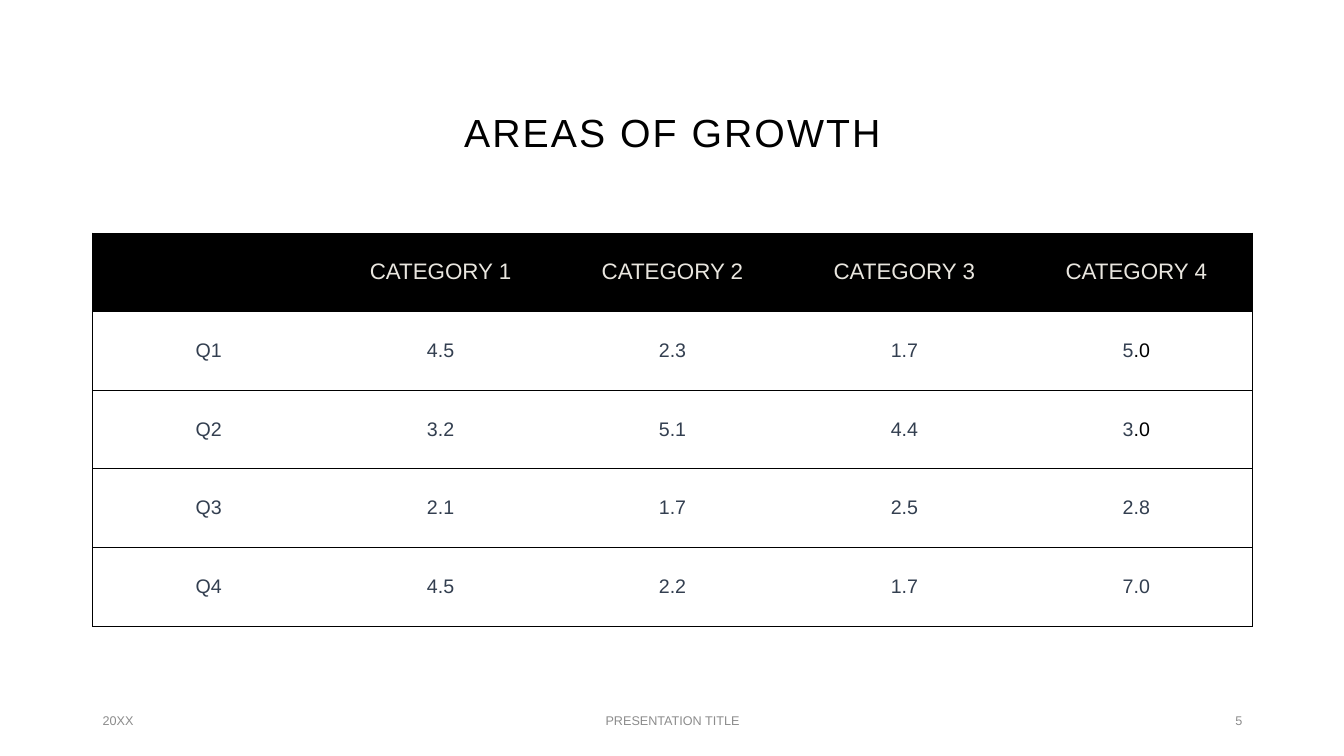
from lxml.etree import SubElement
from pptx import Presentation
from pptx.dml.color import RGBColor
from pptx.enum.text import MSO_ANCHOR as Anchor, PP_ALIGN as Align
from pptx.oxml.ns import qn
from pptx.util import Inches, Pt

BLACK, WHITE, SLATE, CREAM, GREY = "000000", "FFFFFF", "333F50", "E9E6DF", "8C8C8C"
LEFT, WIDTH = 0.92, 11.5
HEADS = ["", "CATEGORY 1", "CATEGORY 2", "CATEGORY 3", "CATEGORY 4"]
ROWS = [
    ["Q1", "4.5", "2.3", "1.7", "5.0"],
    ["Q2", "3.2", "5.1", "4.4", "3.0"],
    ["Q3", "2.1", "1.7", "2.5", "2.8"],
    ["Q4", "4.5", "2.2", "1.7", "7.0"],
]
SPLIT = {(1, 4), (2, 4)}  # cells whose decimals are black


def rgb(code):
    return RGBColor.from_string(code)


class Deck:
    font = "Arial"

    def __init__(self):
        self.show = Presentation()
        self.show.slide_width = Inches(13.33)
        self.show.slide_height = Inches(7.5)
        self.slide = self.show.slides.add_slide(self.show.slide_layouts[6])

    def style(self, run, size, color):
        run.font.name = self.font
        run.font.size = Pt(size)
        run.font.color.rgb = rgb(color)

    def text(self, words, box, size, color, align, anchor=Anchor.MIDDLE):
        frame = self.slide.shapes.add_textbox(*map(Inches, box)).text_frame
        frame.word_wrap = True
        frame.vertical_anchor = anchor
        para = frame.paragraphs[0]
        para.text = words
        para.alignment = align
        self.style(para.runs[0], size, color)
        return para

    def edge(self, cell, sides):
        """Draw thin black lines on the given sides and clear the others."""
        props = cell._tc.get_or_add_tcPr()
        for side in "LRTB":
            line = SubElement(props, qn(f"a:ln{side}"), w=str(Pt(0.5)))
            if side in sides:
                fill = SubElement(line, qn("a:solidFill"))
                SubElement(fill, qn("a:srgbClr"), val=BLACK)
            else:
                SubElement(line, qn("a:noFill"))

    def cell(self, cell, parts, size, back, sides):
        """Fill a cell with (words, color) parts."""
        self.edge(cell, sides)
        cell.fill.solid()
        cell.fill.fore_color.rgb = rgb(back)
        cell.vertical_anchor = Anchor.MIDDLE
        para = cell.text_frame.paragraphs[0]
        para.alignment = Align.CENTER
        for words, color in parts:
            run = para.add_run()
            run.text = words
            self.style(run, size, color)

    def table(self, grid, top, high):
        rows, cols = len(grid), len(grid[0])
        box = map(Inches, (LEFT, top, WIDTH, high * rows))
        table = self.slide.shapes.add_table(rows, cols, *box).table
        table.horz_banding = False
        for col in table.columns:
            col.width = Inches(WIDTH / cols)
        for r, row in enumerate(grid):
            table.rows[r].height = Inches(high)
            for c, words in enumerate(row):
                sides = "TB" + "L" * (c == 0) + "R" * (c == cols - 1)
                parts = [(words, SLATE if r else CREAM)] if words else []
                if (r, c) in SPLIT:
                    parts = [(words[:1], SLATE), (words[1:], BLACK)]
                size, back = (14, WHITE) if r else (16, BLACK)
                self.cell(table.cell(r, c), parts, size, back, sides)


def main():
    deck = Deck()
    title = deck.text("AREAS OF GROWTH", (LEFT, 0.15, WIDTH, 1.45), 28, BLACK,
                      Align.CENTER, Anchor.BOTTOM)
    title.line_spacing = 0.9
    title.runs[0].font._element.set("spc", "150")
    deck.table([HEADS] + ROWS, 2.31, 0.78)
    for words, left, wide, align in [
        ("20XX", LEFT, 3, Align.LEFT),
        ("PRESENTATION TITLE", 4.42, 4.5, Align.CENTER),
        ("5", 9.42, 3, Align.RIGHT),
    ]:
        deck.text(words, (left, 6.95, wide, 0.4), 9, GREY, align)
    deck.show.save("out.pptx")


if __name__ == "__main__":
    main()
